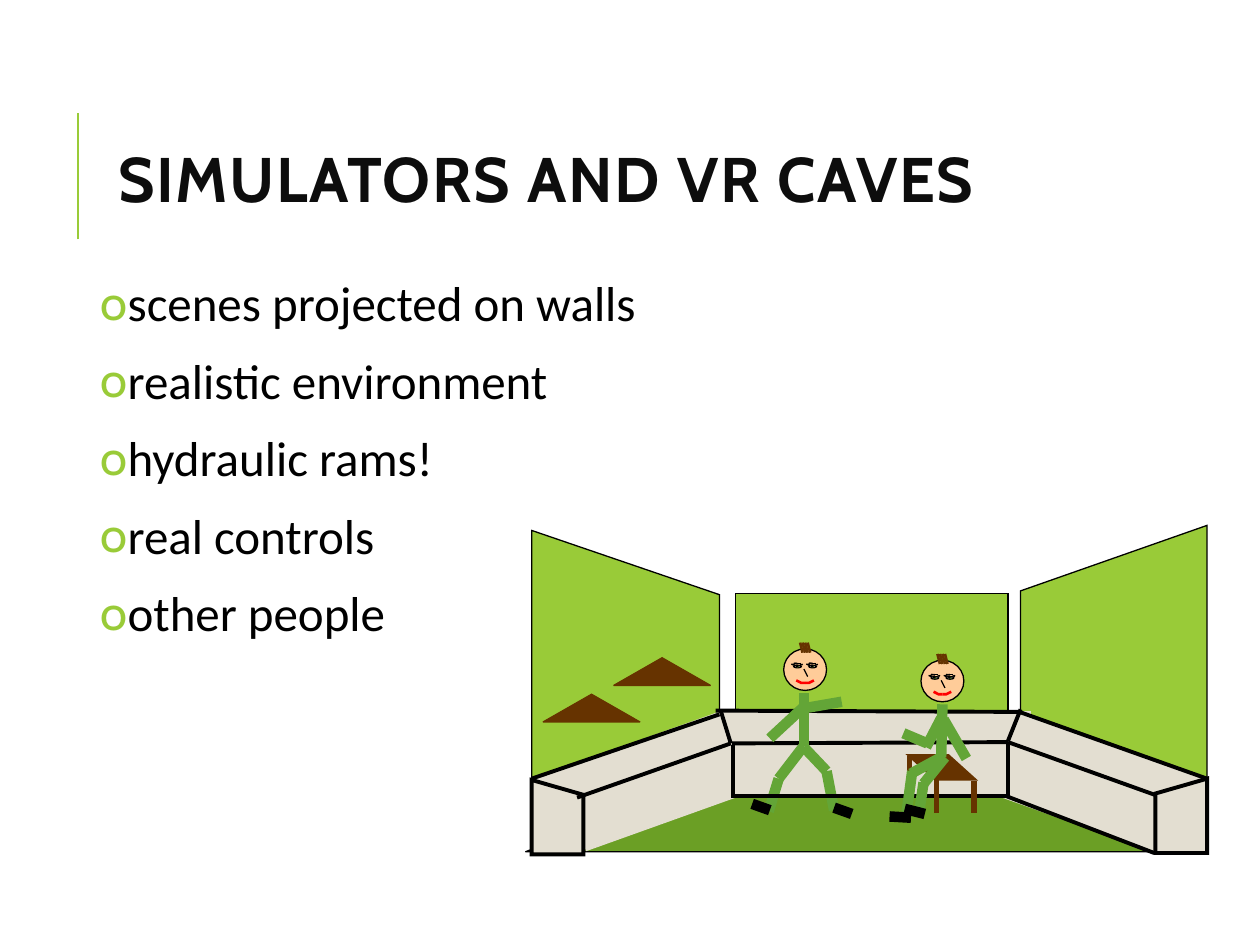
"""Build the slide on simulators and VR caves, with its drawn projection room."""
from dataclasses import dataclass
from typing import NamedTuple, Optional

from lxml import etree
from pptx import Presentation
from pptx.dml.color import RGBColor
from pptx.enum.shapes import MSO_CONNECTOR, MSO_SHAPE
from pptx.enum.text import MSO_ANCHOR
from pptx.oxml.ns import qn
from pptx.util import Inches, Pt

STRAIGHT, MIDDLE = MSO_CONNECTOR.STRAIGHT, MSO_ANCHOR.MIDDLE
RECTANGLE, OVAL, TRIANGLE = MSO_SHAPE.RECTANGLE, MSO_SHAPE.OVAL, MSO_SHAPE.ISOSCELES_TRIANGLE
PARALLELOGRAM, CONSOLE_END = MSO_SHAPE.PARALLELOGRAM, MSO_SHAPE.FLOWCHART_MANUAL_INPUT


@dataclass(frozen=True)
class Theme:
    title_font: str = "Cabin"
    body_font: str = "Calibri"
    title_size: float = 36
    body_size: float = 28
    title: str = "0D0D0D"
    ink: str = "000000"
    white: str = "FFFFFF"
    accent: str = "99CB38"
    floor: str = "6B9F25"
    console: str = "E3DED1"
    skin: str = "FFCC99"
    lips: str = "FF0000"
    wood: str = "663300"
    clothes: str = "63A537"
    hair: float = 0.25
    thin: float = 0.75
    medium: float = 1.5
    edge: float = 2.25
    leg: float = 3
    limb: float = 6


class Strokes(NamedTuple):
    color: str
    width: float
    segments: list


T = Theme()
TITLE = "SIMULATORS AND VR CAVES"
POINTS = ["scenes projected on walls", "realistic environment", "hydraulic rams!", "real controls", "other people"]

FLOOR = [(9.54, 6.76), (8, 6.17), (5.7, 6.17), (4.17, 6.76)]
SIDE_WALLS = [[(9.58, 4.17), (8.1, 4.69), (8.1, 5.71), (9.58, 6.23)],
              [(4.22, 4.21), (5.71, 4.72), (5.71, 5.74), (4.22, 6.26)]]
CONSOLE_PANELS = [((4.27, 5.9, 1.57, 0.42), 340.3), ((4.53, 6.03, 1.68, 0.45), 340.3),
                  ((7.99, 5.91, 1.57, 0.42), 19.7), ((7.61, 6.04, 1.68, 0.45), 19.7), ((5.73, 5.65, 2.45, 0.67), 0)]
CONSOLE_TOP = Strokes(T.ink, T.edge, [
    (4.58, 6.33, 5.8, 5.9), (4.22, 6.18, 5.71, 5.67), (5.72, 5.64, 5.8, 5.9), (9.17, 6.31, 8, 5.89),
    (9.58, 6.18, 8.09, 5.65), (8.1, 5.63, 8, 5.88), (5.68, 5.64, 8.09, 5.65), (5.81, 5.9, 8, 5.89)])
CONSOLE_FRONT = Strokes(T.ink, T.edge, [
    (5.83, 6.32, 8.02, 6.32), (5.82, 5.91, 5.82, 6.33), (8, 5.89, 8, 6.31), (9.16, 6.77, 7.99, 6.32)])

LASHES = Strokes(T.ink, T.thin, [
    (0.11, 0.11, 0.11, 0.12), (0.13, 0.11, 0.13, 0.12), (0.14, 0.13, 0.15, 0.12), (0.13, 0.13, 0.14, 0.12),
    (0.12, 0.11, 0.12, 0.12), (0.1, 0.11, 0.11, 0.12), (0.08, 0.11, 0.09, 0.12), (0.08, 0.13, 0.06, 0.12),
    (0.09, 0.13, 0.07, 0.12), (0.09, 0.11, 0.1, 0.12)])
NOSE = Strokes(T.ink, T.thin, [(0.16, 0.16, 0.19, 0.22)])
TUFT = Strokes(T.wood, T.medium, [(0.13 + 0.02 * i, -0.05, 0.15 + 0.02 * i, 0.03) for i in range(4)])
HALF_SMILE = [(0, 0.27), (0.03, 0.27), (0.05, 0.26), (0.07, 0.25)]
EYE_GAP = 0.12

STANDING_BODY = [
    Strokes(T.clothes, T.limb, [
        (6.38, 5.5, 6.38, 5.92), (6.11, 5.86, 6.38, 5.61), (6.68, 5.57, 6.39, 5.62), (6.38, 5.93, 6.56, 6.12),
        (6.56, 6.12, 6.62, 6.43), (6.38, 5.92, 6.18, 6.18), (6.18, 6.18, 6.1, 6.44)]),
    Strokes(T.ink, T.limb, [(6.62, 6.41, 6.76, 6.46), (5.97, 6.38, 6.11, 6.43)])]
BACK_CHAIR_LEG = Strokes(T.wood, T.leg, [(7.22, 6, 7.22, 6.26)])
SEATED_BODY_AND_CHAIR = [
    Strokes(T.clothes, T.limb, [
        (7.48, 5.59, 7.47, 6.01), (7.35, 5.93, 7.47, 5.7), (7.67, 6.02, 7.49, 5.71), (7.5, 6.01, 7.33, 6.22),
        (7.33, 6.21, 7.29, 6.48), (7.47, 6.01, 7.23, 6.14), (7.24, 6.12, 7.19, 6.49)]),
    Strokes(T.ink, T.limb, [(7.18, 6.42, 7.34, 6.46), (7.06, 6.48, 7.23, 6.49)]),
    Strokes(T.clothes, T.limb, [(7.17, 5.82, 7.36, 5.9)]),
    Strokes(T.wood, T.leg, [(7.43, 6.19, 7.43, 6.45), (7.73, 6.2, 7.73, 6.45)])]
HILLS = [(4.31, 5.51, 0.77, 0.22), (4.87, 5.22, 0.77, 0.22)]


def paint(shape, fill: Optional[str], line: str, width: float) -> None:
    """Set the fill and mitred outline of a shape and drop its shadow."""
    shape.shadow.inherit = False
    if fill:
        shape.fill.solid()
        shape.fill.fore_color.rgb = RGBColor.from_string(fill)
    else:
        shape.fill.background()
    shape.line.color.rgb = RGBColor.from_string(line)
    shape.line.width = Pt(width)
    etree.SubElement(shape.element.spPr.find(qn("a:ln")), qn("a:miter"), lim="800000")


def add_preset(slide, kind, box: tuple, fill: str, line: str, width: float = T.thin, mirrored: bool = False):
    """Draw a preset shape, mirrored if asked."""
    shape = slide.shapes.add_shape(kind, *map(Inches, box))
    paint(shape, fill, line, width)
    if mirrored:
        shape.element.spPr.find(qn("a:xfrm")).set("flipH", "1")
    return shape


def add_outline(slide, points: list, fill: Optional[str], line: str, width: float) -> None:
    """Draw a freeform through the points, closed when it is filled."""
    corners = [(Inches(x), Inches(y)) for x, y in points]
    builder = slide.shapes.build_freeform(*corners[0])
    builder.add_line_segments(corners[1:], close=fill is not None)
    paint(builder.convert_to_shape(), fill, line, width)


def add_strokes(slide, strokes: Strokes, dx: float = 0, dy: float = 0) -> None:
    """Draw straight lines, shifted by dx and dy."""
    for x1, y1, x2, y2 in strokes.segments:
        stroke = slide.shapes.add_connector(STRAIGHT, *map(Inches, (x1 + dx, y1 + dy, x2 + dx, y2 + dy)))
        stroke.line.color.rgb = RGBColor.from_string(strokes.color)
        stroke.line.width = Pt(strokes.width)
        etree.SubElement(stroke.element.spPr, qn("a:effectLst"))


def add_face(slide, x: float, y: float) -> None:
    """Draw a head with eyes, nose, smile and tuft of hair."""
    add_preset(slide, OVAL, (x, y, 0.34, 0.33), T.skin, T.ink)
    for eye_x in (x, x + EYE_GAP):
        add_preset(slide, OVAL, (eye_x + 0.08, y + 0.13, 0.06, 0.02), T.white, T.ink)
        add_preset(slide, OVAL, (eye_x + 0.1, y + 0.13, 0.02, 0.02), T.floor, T.ink, T.hair)
        add_preset(slide, OVAL, (eye_x + 0.1, y + 0.13, 0.01, 0.01), T.ink, T.ink)
        add_strokes(slide, LASHES, eye_x, y)
    add_strokes(slide, NOSE, x, y)
    for side in (1, -1):
        add_outline(slide, [(x + 0.17 + side * px, y + py) for px, py in HALF_SMILE], None, T.lips, T.medium)
    add_strokes(slide, TUFT, x, y)


def add_frame(slide, *box: float):
    """Add a wrapping text box and return its text frame."""
    frame = slide.shapes.add_textbox(*map(Inches, box)).text_frame
    frame.word_wrap = True
    return frame


def add_run(paragraph, text: str, font_name: str, size: float, color: str, bold: bool = False):
    """Add one formatted run."""
    run = paragraph.add_run()
    run.text = text
    run.font.name, run.font.size, run.font.bold = font_name, Pt(size), bold
    run.font.color.rgb = RGBColor.from_string(color)
    return run


def add_bullet(paragraph) -> None:
    """Give a paragraph its hanging accent bullet."""
    props = paragraph._p.get_or_add_pPr()
    props.set("marL", str(Inches(0.1)))
    props.set("indent", str(-Inches(0.1)))
    etree.SubElement(etree.SubElement(props, qn("a:buClr")), qn("a:srgbClr"), val=T.accent)
    etree.SubElement(props, qn("a:buFont"), typeface=T.title_font)
    etree.SubElement(props, qn("a:buChar"), char="o")


def add_texts(slide) -> None:
    """Write the title with its rule and the bulleted points."""
    add_strokes(slide, Strokes(T.accent, T.medium, [(0.62, 1.9, 0.62, 0.9)]))
    heading = add_frame(slide, 0.84, 0.64, 7.97, 1.64)
    heading.vertical_anchor = MIDDLE
    heading.paragraphs[0].line_spacing = 0.8
    run = add_run(heading.paragraphs[0], TITLE, T.title_font, T.title_size, T.title, bold=True)
    run._r.get_or_add_rPr().set("spc", "100")
    body = add_frame(slide, 0.75, 2.17, 8.5, 3.42)
    body.margin_left = body.margin_right = body.margin_top = body.margin_bottom = Inches(0.05)
    for i, point in enumerate(POINTS):
        paragraph = body.add_paragraph() if i else body.paragraphs[0]
        add_bullet(paragraph)
        paragraph.line_spacing = 0.9
        paragraph.space_before, paragraph.space_after = Pt(12 if i else 0), Pt(2)
        add_run(paragraph, point, T.body_font, T.body_size, T.ink)


def add_room(slide) -> None:
    """Draw the floor, the projection walls and the console."""
    add_outline(slide, FLOOR, T.floor, T.ink, T.thin)
    add_preset(slide, RECTANGLE, (5.84, 4.71, 2.16, 1.04), T.accent, T.ink)
    for wall in SIDE_WALLS:
        add_outline(slide, wall, T.accent, T.ink, T.thin)
    for box, rotation in CONSOLE_PANELS:
        add_preset(slide, RECTANGLE, box, T.console, T.console).rotation = rotation
    add_preset(slide, CONSOLE_END, (9.17, 6.18, 0.41, 0.59), T.console, T.ink, T.edge)
    add_preset(slide, CONSOLE_END, (4.22, 6.19, 0.41, 0.59), T.console, T.ink, T.edge, mirrored=True)
    add_strokes(slide, CONSOLE_TOP)


def add_people(slide) -> None:
    """Draw the standing and the seated person, the chair and the hills."""
    add_face(slide, 6.22, 5.15)
    for strokes in [*STANDING_BODY, CONSOLE_FRONT]:
        add_strokes(slide, strokes)
    add_face(slide, 7.31, 5.24)
    add_strokes(slide, BACK_CHAIR_LEG)
    seat = add_preset(slide, PARALLELOGRAM, (7.2, 5.99, 0.55, 0.2), T.wood, T.wood, mirrored=True)
    seat.adjustments[0] = 1.11
    for strokes in SEATED_BODY_AND_CHAIR:
        add_strokes(slide, strokes)
    for hill in HILLS:
        add_preset(slide, TRIANGLE, hill, T.wood, T.wood)


deck = Presentation()
deck.slide_width, deck.slide_height = Inches(10), Inches(7.5)
room_slide = deck.slides.add_slide(deck.slide_layouts[6])
add_texts(room_slide)
add_room(room_slide)
add_people(room_slide)
deck.save("out.pptx")
